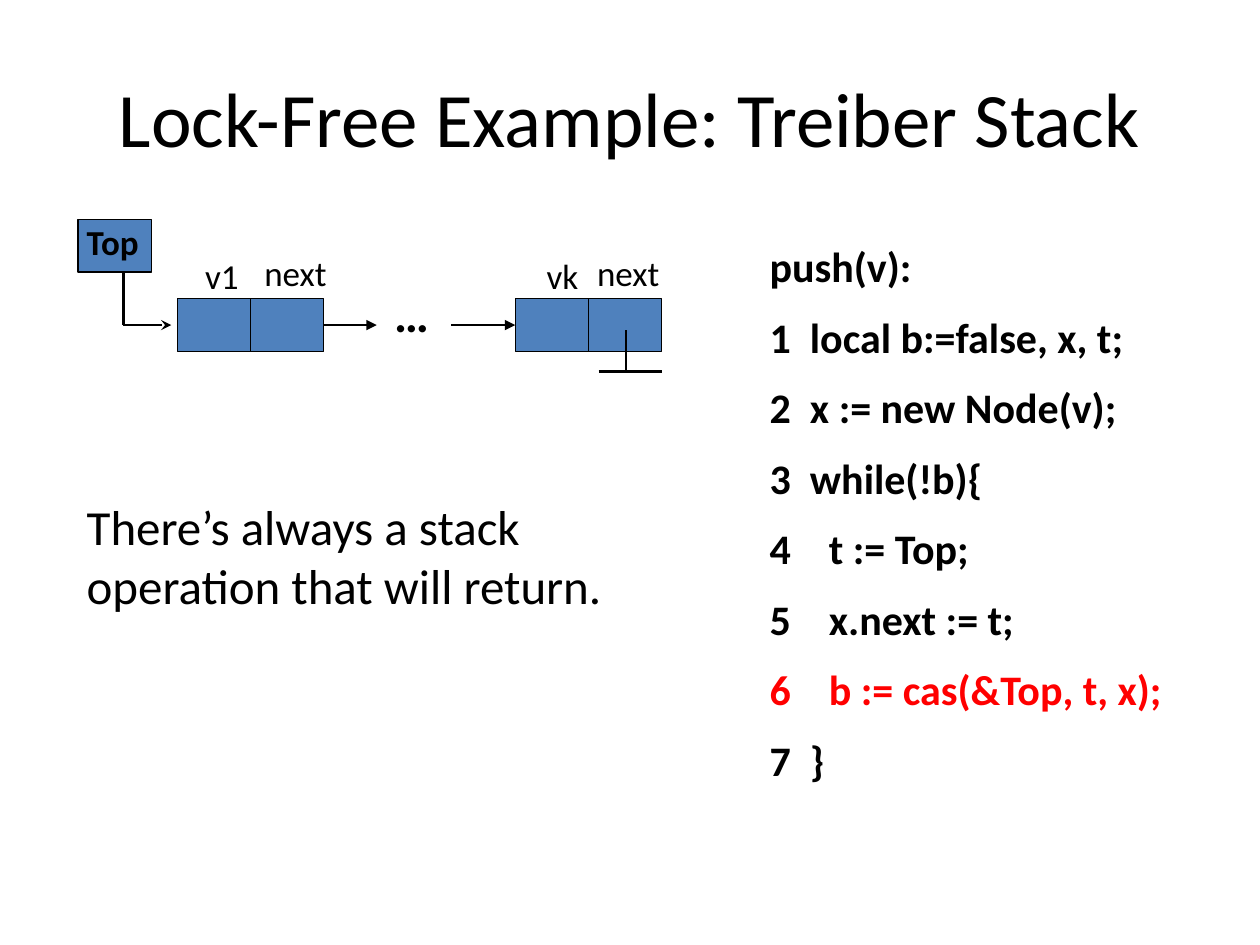
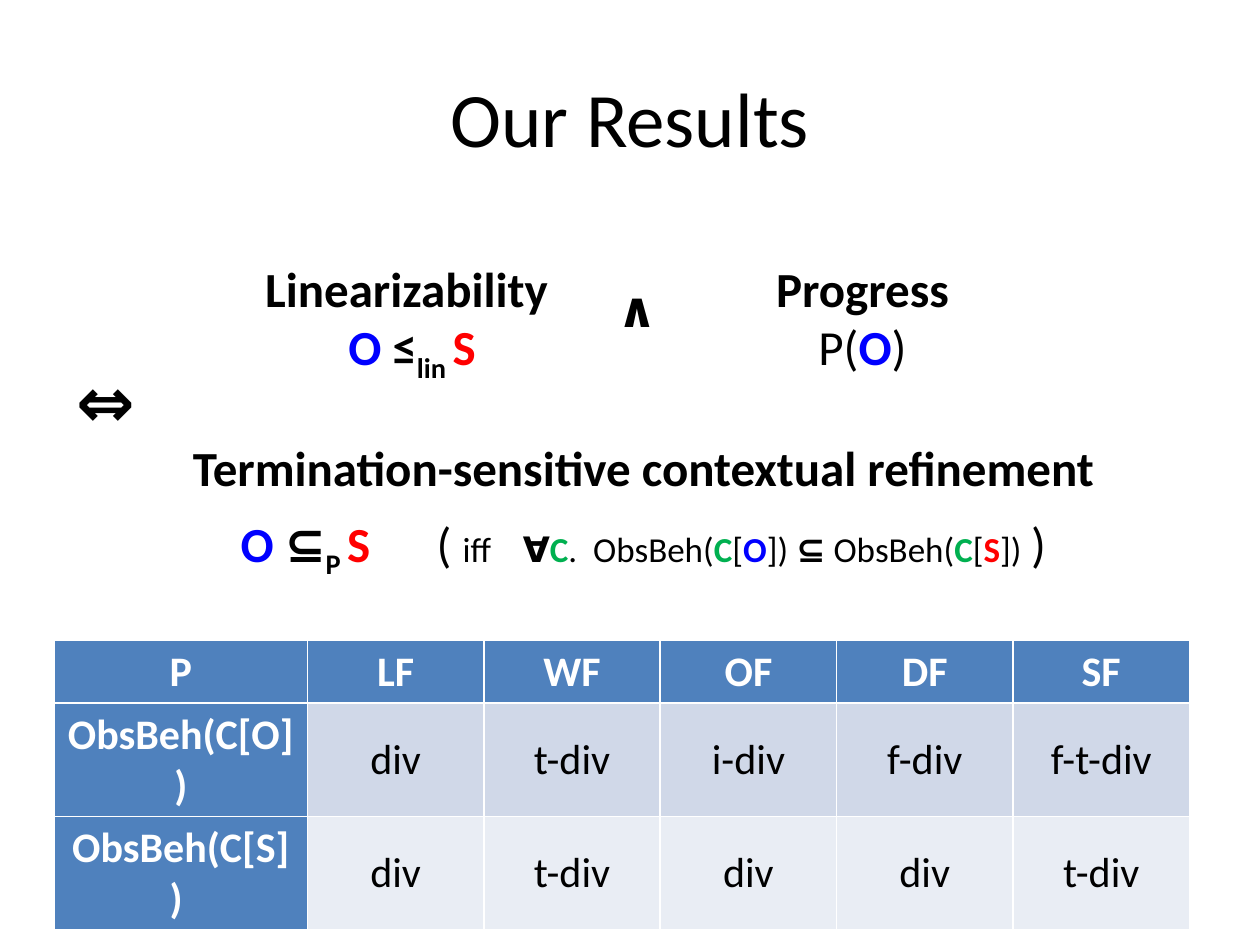
from dataclasses import dataclass

from lxml import etree
from pptx import Presentation
from pptx.dml.color import RGBColor
from pptx.enum.shapes import MSO_CONNECTOR, MSO_SHAPE
from pptx.enum.text import MSO_ANCHOR, MSO_AUTO_SIZE, PP_ALIGN
from pptx.oxml.ns import qn
from pptx.util import Inches, Pt

RECTANGLE = MSO_SHAPE.RECTANGLE
STRAIGHT = MSO_CONNECTOR.STRAIGHT
MIDDLE = MSO_ANCHOR.MIDDLE
FIT_SHAPE = MSO_AUTO_SIZE.SHAPE_TO_FIT_TEXT
LEFT, CENTER = PP_ALIGN.LEFT, PP_ALIGN.CENTER

FONT = "Calibri"
BLACK, WHITE = "000000", "FFFFFF"
BLUE, RED, GREEN = "0000FF", "FF0000", "00B050"
ACCENT = "4F81BD"
BANDS = ("D0D8E8", "E9EDF4")


@dataclass
class Span:
    text: str
    color: str | None = None
    bold: bool | None = None
    size: float | None = None
    baseline: int = 0    # percent of the font size
    spacing: float = 0   # extra points after each character


@dataclass
class Para:
    spans: list[Span]
    size: float = 28
    color: str = BLACK
    bold: bool = False
    align: PP_ALIGN = LEFT
    before: float = 0    # points
    hang: float = 0      # inches from the number to the text


@dataclass
class Line:
    start: tuple[float, float]
    end: tuple[float, float]
    width: float = 0.75
    head: str | None = None


def rgb(value: str) -> RGBColor:
    return RGBColor.from_string(value)


def style_font(font, size=None, color=None, bold=None) -> None:
    if size is not None:
        font.size = Pt(size)
    if color is not None:
        font.color.rgb = rgb(color)
    if bold is not None:
        font.bold = bold


def fill_paragraph(paragraph, para: Para) -> None:
    paragraph.alignment = para.align
    paragraph.font.name = FONT
    style_font(paragraph.font, para.size, para.color, para.bold)
    if para.before:
        paragraph.space_before = Pt(para.before)
    if para.hang:
        properties = paragraph._p.get_or_add_pPr()
        properties.set("marL", str(Inches(para.hang)))
        properties.set("indent", str(-Inches(para.hang)))
    for span in para.spans:
        run = paragraph.add_run()
        run.text = span.text
        style_font(run.font, span.size, span.color, span.bold)
        properties = run._r.get_or_add_rPr()
        if span.baseline:
            properties.set("baseline", str(span.baseline * 1000))
        if span.spacing:
            properties.set("spc", str(round(span.spacing * 100)))


def add_text(page, left: float, top: float, width: float, height: float,
             paras: list[Para], wrap: bool = True) -> None:
    box = page.shapes.add_textbox(Inches(left), Inches(top), Inches(width), Inches(height))
    frame = box.text_frame
    frame.word_wrap = wrap
    frame.auto_size = FIT_SHAPE
    for index, para in enumerate(paras):
        paragraph = frame.add_paragraph() if index else frame.paragraphs[0]
        fill_paragraph(paragraph, para)


def add_cell_box(page, left: float, top: float) -> None:
    """One field of a stack node."""
    box = page.shapes.add_shape(RECTANGLE, Inches(left), Inches(top),
                                Inches(CELL_WIDTH), Inches(CELL_HEIGHT))
    box.shadow.inherit = False
    box.fill.solid()
    box.fill.fore_color.rgb = rgb(ACCENT)
    box.line.color.rgb = rgb(BLACK)
    box.line.width = Pt(0.75)


def add_line(page, line: Line) -> None:
    connector = page.shapes.add_connector(STRAIGHT, *map(Inches, line.start + line.end))
    connector.line.color.rgb = rgb(BLACK)
    connector.line.width = Pt(line.width)
    properties = connector._element.spPr
    if line.head:
        etree.SubElement(properties.find(qn("a:ln")), qn("a:tailEnd"), type=line.head)
    etree.SubElement(properties, qn("a:effectLst"))


def add_page(deck, title: str):
    page = deck.slides.add_slide(deck.slide_layouts[5])
    holder = page.shapes.title
    holder.left, holder.top = Inches(0.5), Inches(0.3)
    holder.width, holder.height = Inches(9), Inches(1.25)
    holder.text_frame.vertical_anchor = MIDDLE
    fill_paragraph(holder.text_frame.paragraphs[0],
                   Para([Span(title)], size=44, align=CENTER))
    return page


deck = Presentation()
deck.slide_width, deck.slide_height = Inches(10), Inches(7.5)

# Slide 1: the stack and its push operation
CELL_WIDTH, CELL_HEIGHT = 0.58, 0.42
NODE_TOP = 2.37
ARROW_Y = 2.58
NULL_Y = 2.95
NODE_LEFTS = (1.41, 4.09)

page = add_page(deck, "Lock-Free Example: Treiber Stack")

# Code listing: number, hanging indent, statement
OUTER, INNER = 0.32, 0.47
CODE = [
    ("local b:=false, x, t;", OUTER),
    ("x := new Node(v);", OUTER),
    ("while(!b){", OUTER),
    ("t := Top;", INNER),
    ("x.next := t;", INNER),
    ("b := cas(&Top, t, x);", INNER),
    ("}", OUTER),
]
CAS_LINE = 6
listing = [Para([Span("push(v):")], size=24, bold=True)]
for number, (statement, hang) in enumerate(CODE, start=1):
    listing.append(Para([Span(f"{number}\t{statement}")], size=24, bold=True, before=11.5,
                        hang=hang, color=RED if number == CAS_LINE else BLACK))
add_text(page, 6.01, 1.86, 3.39, 4.75, listing)

# Top pointer and the two nodes
add_cell_box(page, 0.62, 1.74)
for left in NODE_LEFTS:
    for column in range(2):
        add_cell_box(page, left + column * CELL_WIDTH, NODE_TOP)

# Links between nodes, null mark, and the path from Top
for line in (
    Line((2.57, ARROW_Y), (2.99, ARROW_Y), head="triangle"),
    Line((3.58, ARROW_Y), (4.09, ARROW_Y), head="triangle"),
    Line((4.97, 2.62), (4.97, NULL_Y), 1.5),
    Line((4.75, NULL_Y), (5.25, NULL_Y), 1.5),
    Line((0.98, 2.16), (0.98, ARROW_Y), 1.5),
    Line((0.98, ARROW_Y), (1.36, ARROW_Y), 1.5, "stealth"),
):
    add_line(page, line)

# Labels
add_text(page, 3.03, 2.2, 0.55, 0.57, [Para([Span("…")], bold=True)])
for text, left, top, width, bold in (
    ("v1", 1.53, 1.97, 0.58, False),
    ("next", 2, 1.95, 0.76, False),
    ("vk", 4.24, 1.97, 0.58, False),
    ("next", 4.64, 1.95, 0.9, False),
    ("Top", 0.59, 1.7, 0.83, True),
):
    add_text(page, left, top, width, 0.43, [Para([Span(text)], size=20, bold=bold)])

add_text(page, 0.59, 3.89, 4.76, 1.04,
         [Para([Span("There’s always a stack operation that will return.")])])

# Slide 2: the equivalence and its table
page = add_page(deck, "Our Results")


def heading(text: str) -> Para:
    return Para([Span(text)], bold=True, align=CENTER)


def small(text: str, color: str = BLACK, bold: bool = False, spacing: float = 0) -> Span:
    return Span(text, color, bold, 20, spacing=spacing)


def behaviour(argument: str, color: str) -> list[Span]:
    return [small("ObsBeh("), small("C", GREEN, True), small("["),
            small(argument, color, True), small("])")]


# Refinement statement
refinement = [
    Span("O ", BLUE), Span("⊆"), Span("P ", baseline=-25), Span("S", RED),
    Span(" ", spacing=31.6), Span("( ", bold=False),
    small("iff"), small(" ", spacing=13.6),
    small("∀", bold=True), small("C", GREEN, True), small("."), small(" ", spacing=4.5),
    *behaviour("O", BLUE), small(" "), small("⊆ ", bold=True), *behaviour("S", RED),
    Span(" ", bold=False, size=24), Span(")", bold=False),
]
add_text(page, 1.38, 3.42, 7.45, 1.18, [
    heading("Termination-sensitive contextual refinement"),
    Para(refinement, bold=True, align=CENTER, before=10),
], wrap=False)

# Linearizability and progress
add_text(page, 1.93, 2, 2.68, 1.04, [
    heading("Linearizability "),
    Para([Span("O ", BLUE), Span("≤"), Span("lin ", baseline=-25), Span("S", RED)],
         bold=True, align=CENTER),
])
add_text(page, 4.8, 2.16, 0.44, 0.57, [Para([Span("∧")], bold=True)], wrap=False)
add_text(page, 6.05, 2, 1.59, 1.04, [
    heading("Progress"),
    Para([Span("P("), Span("O", BLUE, True), Span(")")], align=CENTER),
], wrap=False)
add_text(page, 0.51, 2.79, 0.91, 0.77, [Para([Span("⇔")], size=40, bold=True)])

# Table of behaviours; its built-in style draws the white borders
ROWS = [
    ("P", "LF", "WF", "OF", "DF", "SF"),
    ("ObsBeh(C[O])", "div", "t-div", "i-div", "f-div", "f-t-div"),
    ("ObsBeh(C[S]) ", "div", "t-div", "div", "div", "t-div"),
]
COLUMN_WIDTHS = [2.01] + [1.4] * 5
ROW_HEIGHT = 0.41
table = page.shapes.add_table(
    len(ROWS), len(COLUMN_WIDTHS), Inches(0.43), Inches(5.08),
    Inches(sum(COLUMN_WIDTHS)), Inches(ROW_HEIGHT * len(ROWS))).table
table.first_col = True
for column, width in zip(table.columns, COLUMN_WIDTHS):
    column.width = Inches(width)
for row_index, texts in enumerate(ROWS):
    table.rows[row_index].height = Inches(ROW_HEIGHT)
    for column_index, text in enumerate(texts):
        is_header = row_index == 0 or column_index == 0
        cell = table.cell(row_index, column_index)
        cell.vertical_anchor = MIDDLE
        cell.fill.solid()
        cell.fill.fore_color.rgb = rgb(ACCENT if is_header else BANDS[row_index - 1])
        fill_paragraph(cell.text_frame.paragraphs[0],
                       Para([Span(text)], size=24, color=WHITE if is_header else BLACK,
                            bold=is_header, align=CENTER))

deck.save("out.pptx")
